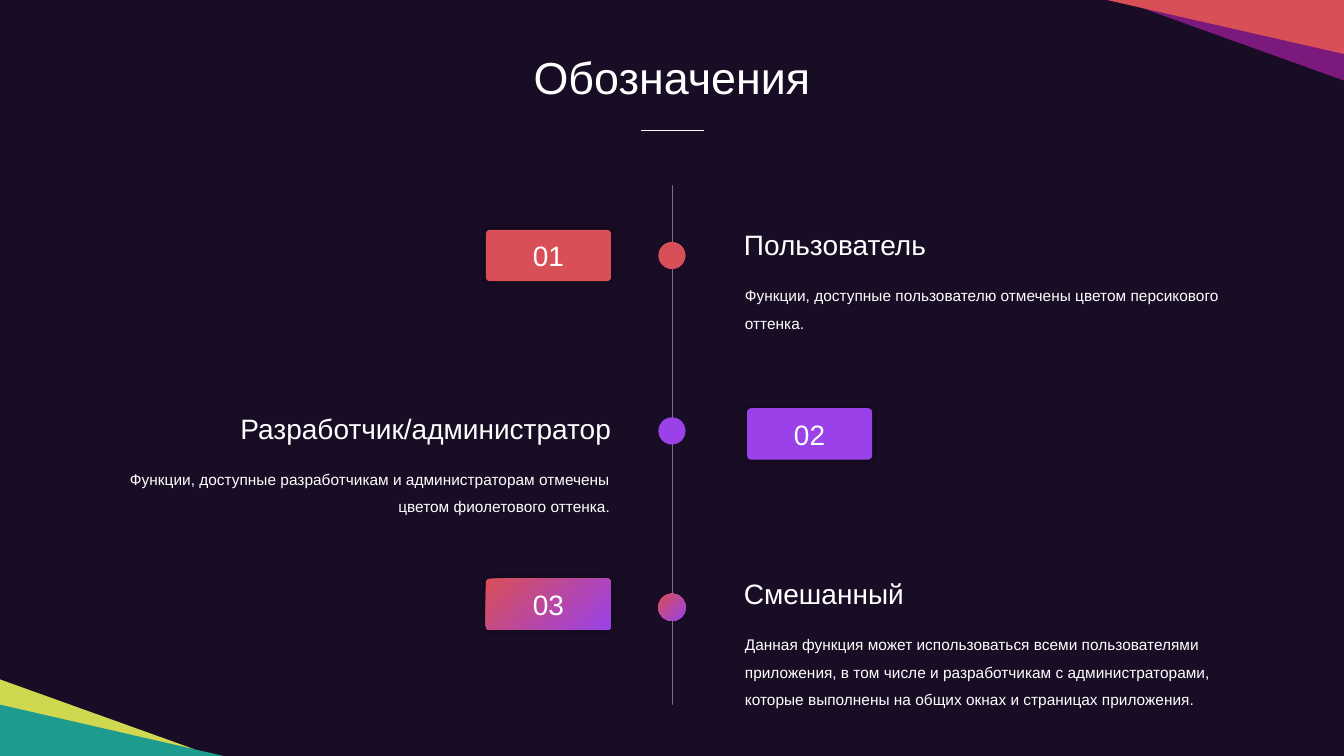
import pptx
import pptx.util
import pptx.dml.color
import pptx.enum.shapes
import pptx.enum.text
import pptx.oxml
import pptx.oxml.ns
from dataclasses import dataclass

SCALE = 9144
FORM = pptx.enum.shapes.MSO_SHAPE
ALIGN = pptx.enum.text.PP_ALIGN


@dataclass(frozen=True)
class Theme:
    night: str = "190C25"
    peach: str = "D94F57"
    violet: str = "9A41EA"
    plum: str = "7B197C"
    lime: str = "D0D84F"
    teal: str = "1E9B8F"
    white: str = "FFFFFF"
    black: str = "000000"
    font: str = "Arial"
    title: int = 32
    head: int = 20
    body: int = 11


THEME = Theme()
BLEND = (THEME.peach, THEME.violet)


def emu(*sizes):
    return [pptx.util.Emu(size * SCALE) for size in sizes]


def rgb(code):
    return pptx.dml.color.RGBColor.from_string(code)


def assign(target, values):
    for name, value in values.items():
        setattr(target, name, value)


def attach(parent, markup):
    space = pptx.oxml.ns.nsdecls("a")
    parent.append(pptx.oxml.parse_xml(markup.replace(">", f" {space}>", 1)))


def paint(shape, *colors):
    shape.shadow.inherit = False
    shape.line.fill.background()
    if len(colors) == 1:
        shape.fill.solid()
        shape.fill.fore_color.rgb = rgb(colors[0])
        return
    shape.fill.gradient()
    shape.fill.gradient_angle = 315
    for place, (stop, color) in enumerate(zip(shape.fill.gradient_stops, colors)):
        stop.position = place
        stop.color.rgb = rgb(color)


def figure(shapes, form, box, *colors):
    shape = shapes.add_shape(form, *emu(*box))
    paint(shape, *colors)
    return shape


def outline(shapes, points, color):
    pen = shapes.build_freeform(*points[0], scale=SCALE)
    pen.add_line_segments(points[1:], close=True)
    paint(pen.convert_to_shape(), color)


def write(frame, words, size, **style):
    line = frame.paragraphs[0]
    assign(line, style)
    run = line.add_run()
    assign(run, {"text": words})
    assign(run.font, {"name": THEME.font, "size": pptx.util.Pt(size)})
    run.font.color.rgb = rgb(THEME.white)


def label(shapes, box, words, size, **style):
    frame = shapes.add_textbox(*emu(*box)).text_frame
    assign(frame, {"word_wrap": True,
                   "auto_size": pptx.enum.text.MSO_AUTO_SIZE.SHAPE_TO_FIT_TEXT})
    write(frame, words, size, **style)


def rule(shapes, ends, alpha=100):
    line = shapes.add_connector(pptx.enum.shapes.MSO_CONNECTOR.STRAIGHT, *emu(*ends))
    line.line.width = pptx.util.Pt(0.5)
    line.line.color.rgb = rgb(THEME.white)
    props = line._element.spPr
    attach(props, "<a:effectLst></a:effectLst>")
    if alpha < 100:
        color = props.find(".//" + pptx.oxml.ns.qn("a:srgbClr"))
        attach(color, f'<a:alpha val="{alpha * 1000}"></a:alpha>')


def badge(shapes, left, top, words, colors):
    shape = figure(shapes, FORM.ROUNDED_RECTANGLE, (left, top, 124, 51), *colors)
    shape.adjustments[0] = 0.076
    glow = shape._element.spPr.find(pptx.oxml.ns.qn("a:effectLst"))
    attach(glow, '<a:outerShdw blurRad="63500" dist="0" dir="0" algn="ctr" rotWithShape="0">'
                 f'<a:srgbClr val="{THEME.black}"><a:alpha val="40000"/></a:srgbClr></a:outerShdw>')
    shape.text_frame.vertical_anchor = pptx.enum.text.MSO_ANCHOR.MIDDLE
    write(shape.text_frame, words, THEME.head, alignment=ALIGN.CENTER)


def corners(shapes):
    low = shapes.add_group_shape().shapes
    outline(low, [(0, 725), (0, 674), (192, 743)], THEME.lime)
    figure(low, FORM.RIGHT_TRIANGLE, (0, 699, 222, 51), THEME.teal)
    high = shapes.add_group_shape().shapes
    outline(high, [(1336, 27), (1336, 81), (1130, 7)], THEME.plum)
    figure(high, FORM.RIGHT_TRIANGLE, (1098, 0, 237, 54), THEME.peach).rotation = 180


def entry(shapes, number, top, drop, height, colors, head, body):
    left = number % 2 == 0
    side = ALIGN.RIGHT if left else ALIGN.LEFT
    spot = (200, 416) if left else (728, 266)
    figure(shapes, FORM.OVAL, (653, 240 + round(174.5 * (number - 1)), 27, 27), *colors)
    badge(shapes, 741 if left else 482, top + drop, f"{number:02}", colors)
    label(shapes, (spot[0], top, spot[1], 44), head, THEME.head, alignment=side)
    label(shapes, (91 if left else 729, top + 49, 524, height), body, THEME.body,
          alignment=side, line_spacing=1.5)


def main():
    deck = pptx.Presentation()
    wide, tall = 1333, 750
    assign(deck, dict(zip(("slide_width", "slide_height"), emu(wide, tall))))
    shapes = deck.slides.add_slide(deck.slide_layouts[6]).shapes
    figure(shapes, FORM.RECTANGLE, (0, 0, wide, tall), THEME.night)
    corners(shapes)
    label(shapes, (457, 44, 419, 64), "Обозначения", THEME.title, alignment=ALIGN.CENTER)
    rule(shapes, (636, 129, 698, 129))
    rule(shapes, (667, 184, 667, 699), 41)
    entries = [
        (221, 7, 65, (THEME.peach,), "Пользователь",
         "Функции, доступные пользователю отмечены цветом персикового оттенка."),
        (403, 2, 65, (THEME.violet,), "Разработчик/администратор",
         "Функции, доступные разработчикам и администраторам отмечены цветом "
         "фиолетового оттенка."),
        (567, 7, 93, BLEND, "Смешанный",
         "Данная функция может использоваться всеми пользователями приложения, "
         "в том числе и разработчикам с администраторами, которые выполнены "
         "на общих окнах и страницах приложения."),
    ]
    for number, item in enumerate(entries, 1):
        entry(shapes, number, *item)
    deck.save("out.pptx")


if __name__ == "__main__":
    main()
